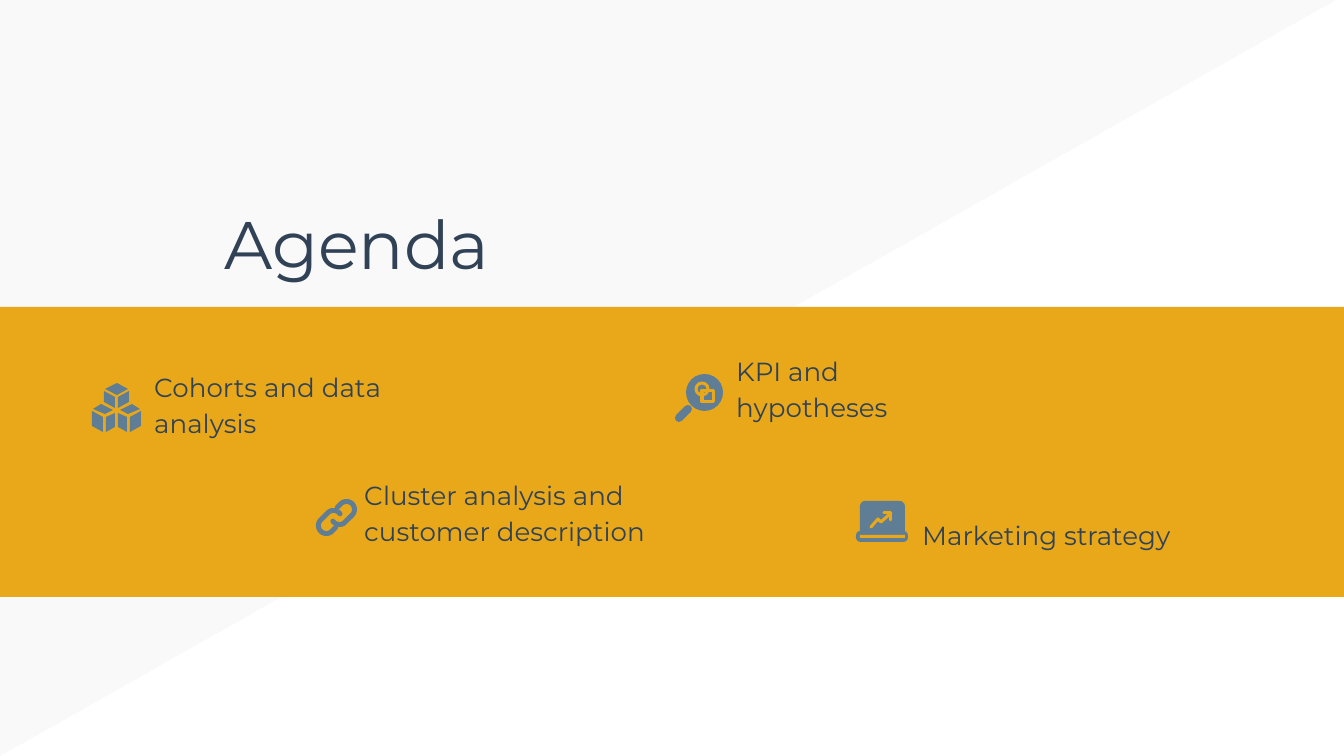
"""Build the agenda slide: a title above a band with four topics and icons."""
import math

import lxml.etree
import pptx
import pptx.dml.color
import pptx.enum.shapes
import pptx.enum.text
import pptx.oxml.ns
import pptx.util

PX = 914400 / 134.4
SHAPE = pptx.enum.shapes.MSO_SHAPE
COLORS = {"pale": "EDEDEB", "band": "E8A81A", "text": "314256", "icon": "5F7D95"}


def px(n):
    return pptx.util.Emu(round(n * PX))


def rgb(name):
    return pptx.dml.color.RGBColor.from_string(COLORS[name])


def paint(sp, fill=None, line=None, width=3):
    sp.shadow.inherit = False
    if fill:
        sp.fill.solid()
        sp.fill.fore_color.rgb = rgb(fill)
    else:
        sp.fill.background()
    if line:
        sp.line.color.rgb = rgb(line)
        sp.line.width = px(width)
    else:
        sp.line.fill.background()
    return sp


def add_shape(s, kind, x, y, w, h, **style):
    return paint(s.shapes.add_shape(kind, px(x), px(y), px(w), px(h)), **style)


def add_polygon(s, points, fill):
    (x, y), *rest = [(px(a), px(b)) for a, b in points]
    fb = s.shapes.build_freeform(x, y)
    fb.add_line_segments(rest, close=True)
    return paint(fb.convert_to_shape(), fill=fill)


def add_stroke(s, points, color, width):
    (x, y), *rest = [(px(a), px(b)) for a, b in points]
    fb = s.shapes.build_freeform(x, y)
    fb.add_line_segments(rest, close=False)
    sp = paint(fb.convert_to_shape(), line=color, width=width)
    sp.line._get_or_add_ln().set("cap", "rnd")


def add_text(s, text, x, y, w, h, size=14, color="text", font="Montserrat"):
    tf = s.shapes.add_textbox(px(x), px(y), px(w), px(h)).text_frame
    tf.word_wrap = True
    tf.vertical_anchor = pptx.enum.text.MSO_ANCHOR.BOTTOM
    tf.margin_left = tf.margin_right = tf.margin_top = tf.margin_bottom = pptx.util.Inches(0.1)
    for i, line in enumerate(text.split("\n")):
        p = tf.add_paragraph() if i else tf.paragraphs[0]
        p.line_spacing = 1.15
        r = p.add_run()
        r.text = line
        r.font.size = pptx.util.Pt(size)
        r.font.name = font
        r.font.color.rgb = rgb(color)


def add_background(s):
    sp = add_polygon(s, [(-3, 0), (1336, 0), (-3, 758)], "pale")
    clr = sp.fill._xPr.find(".//" + pptx.oxml.ns.qn("a:srgbClr"))
    lxml.etree.SubElement(clr, pptx.oxml.ns.qn("a:alpha")).set("val", "28000")
    add_shape(s, SHAPE.RECTANGLE, -3, 307, 1351, 290, fill="band")


def add_cubes(s):
    right_faces = [
        [(129, 391), (118, 397), (118, 408), (129, 402)],
        [(132, 404), (120, 410), (128, 414), (140, 409)],
        [(118, 413), (118, 427), (127, 432), (127, 417)],
        [(141, 411), (130, 417), (130, 432), (141, 426)],
    ]
    add_polygon(s, [(117, 383), (105, 389), (117, 395), (128, 389)], "icon")
    for face in right_faces:
        add_polygon(s, face, "icon")
        add_polygon(s, [(233 - x, y) for x, y in face], "icon")


def add_magnifier(s):
    add_stroke(s, [(679, 418), (688, 409)], "icon", 8)
    add_shape(s, SHAPE.OVAL, 686, 374, 37, 37, fill="icon")
    add_shape(s, SHAPE.OVAL, 696, 383, 12, 12, line="band")
    add_shape(s, SHAPE.RECTANGLE, 702, 390, 12, 12, line="band")


def add_laptop(s):
    add_shape(s, SHAPE.ROUND_2_SAME_RECTANGLE, 860, 501, 45, 31, fill="icon")
    base = add_shape(s, SHAPE.ROUNDED_RECTANGLE, 856, 531, 52, 11, fill="icon")
    base.adjustments[0] = 0.4
    add_shape(s, SHAPE.RECTANGLE, 860, 535, 45, 3, fill="band")
    add_stroke(s, [(871, 527), (878, 519), (881, 522), (891, 513)], "band", 3)
    add_stroke(s, [(884, 513), (891, 513), (891, 520)], "band", 3)


def arc(cx, radius, start, end):
    angles = [math.radians(a) for a in range(start, end + 1, 10)]
    return [(cx + radius * math.cos(a), radius * math.sin(a)) for a in angles]


def add_chain(s):
    half, radius, c = 5, 8, math.sqrt(0.5)
    link = [(0, -radius)] + arc(half, radius, -90, 90) + arc(-half, radius, 90, 190)
    for cx, cy, turn in [(343, 513, 1), (330, 522, -1)]:
        points = [(cx + turn * c * (u + v), cy + turn * c * (v - u)) for u, v in link]
        add_stroke(s, points, "icon", 5)


def main():
    prs = pptx.Presentation()
    prs.slide_width, prs.slide_height = px(1344), px(756)
    s = prs.slides.add_slide(prs.slide_layouts[6])
    add_background(s)
    add_text(s, "Agenda", 211, 188, 1156, 108, size=36)
    add_text(s, "Cohorts and data analysis", 141, 262, 278, 190)
    add_text(s, "Cluster analysis and\ncustomer description", 351, 379, 333, 181)
    add_text(s, "KPI and hypotheses", 723, 255, 278, 181)
    add_text(s, "Marketing strategy", 909, 383, 396, 181)
    add_cubes(s)
    add_chain(s)
    add_magnifier(s)
    add_laptop(s)
    prs.save("out.pptx")


if __name__ == "__main__":
    main()
